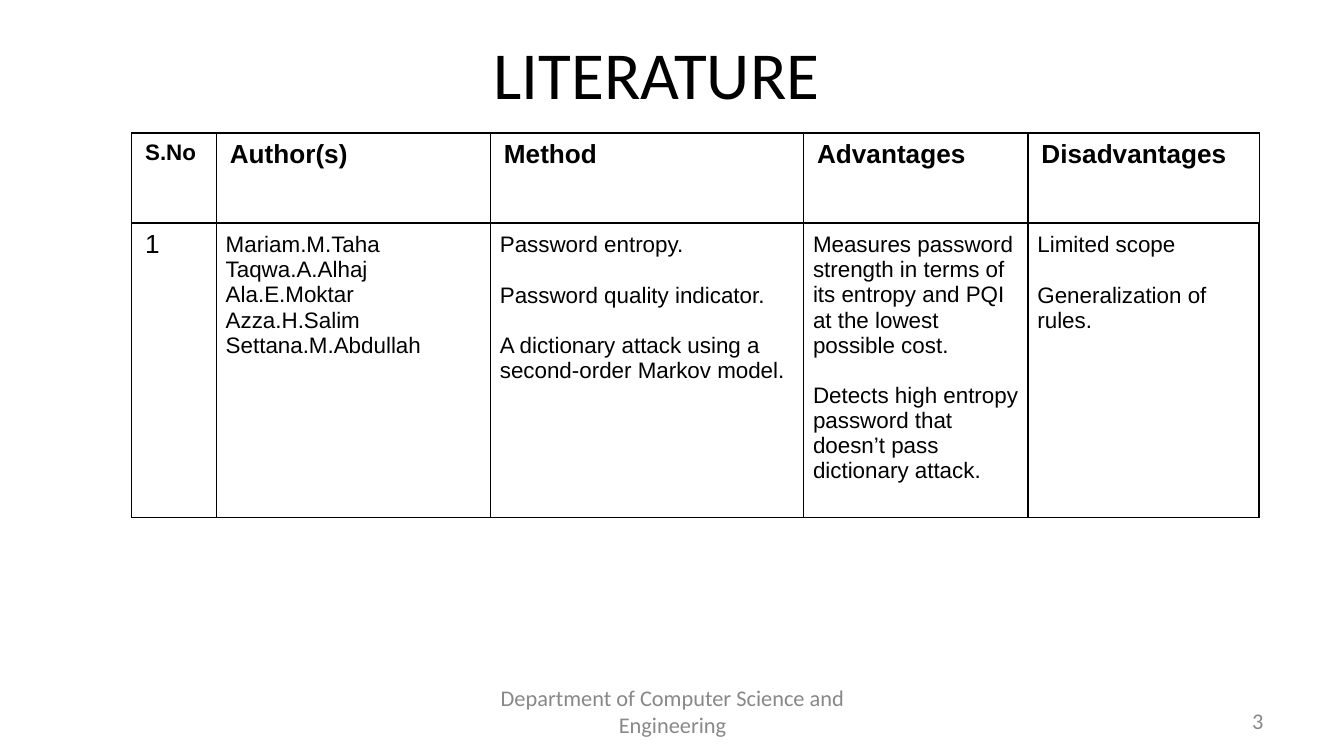
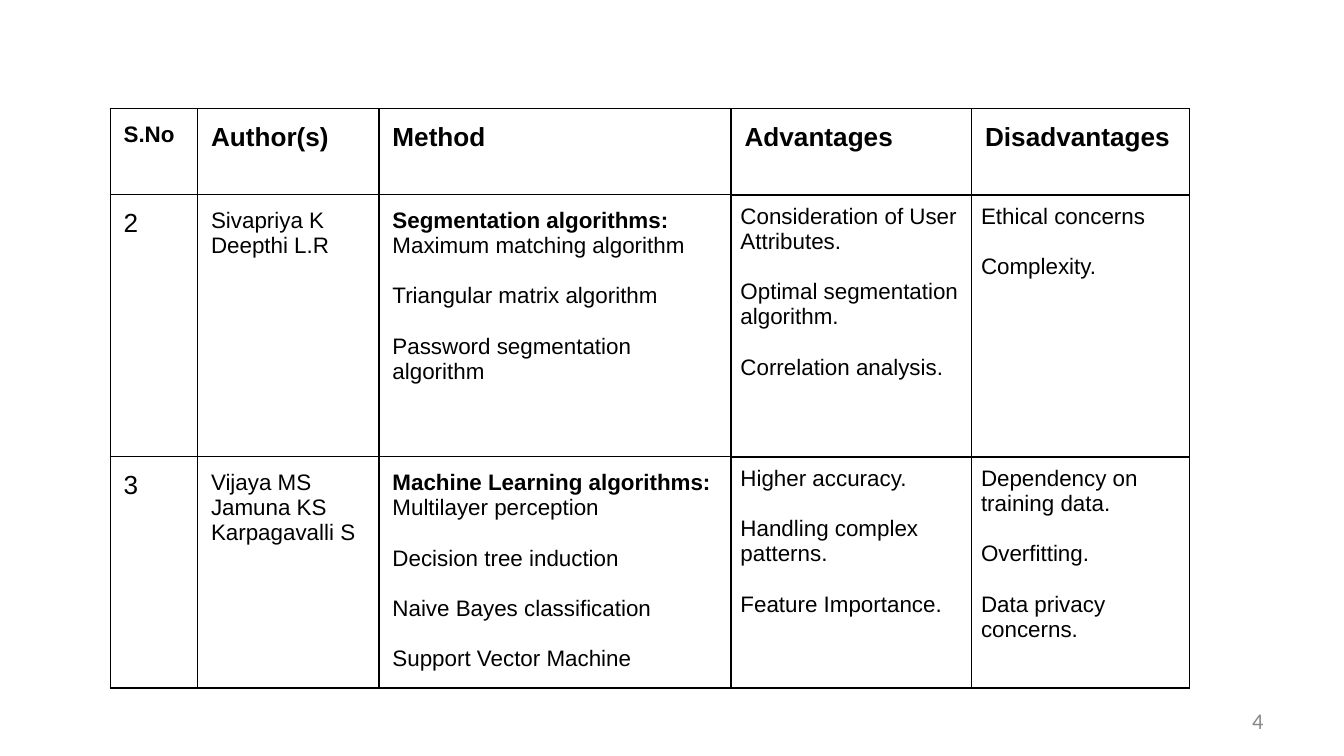
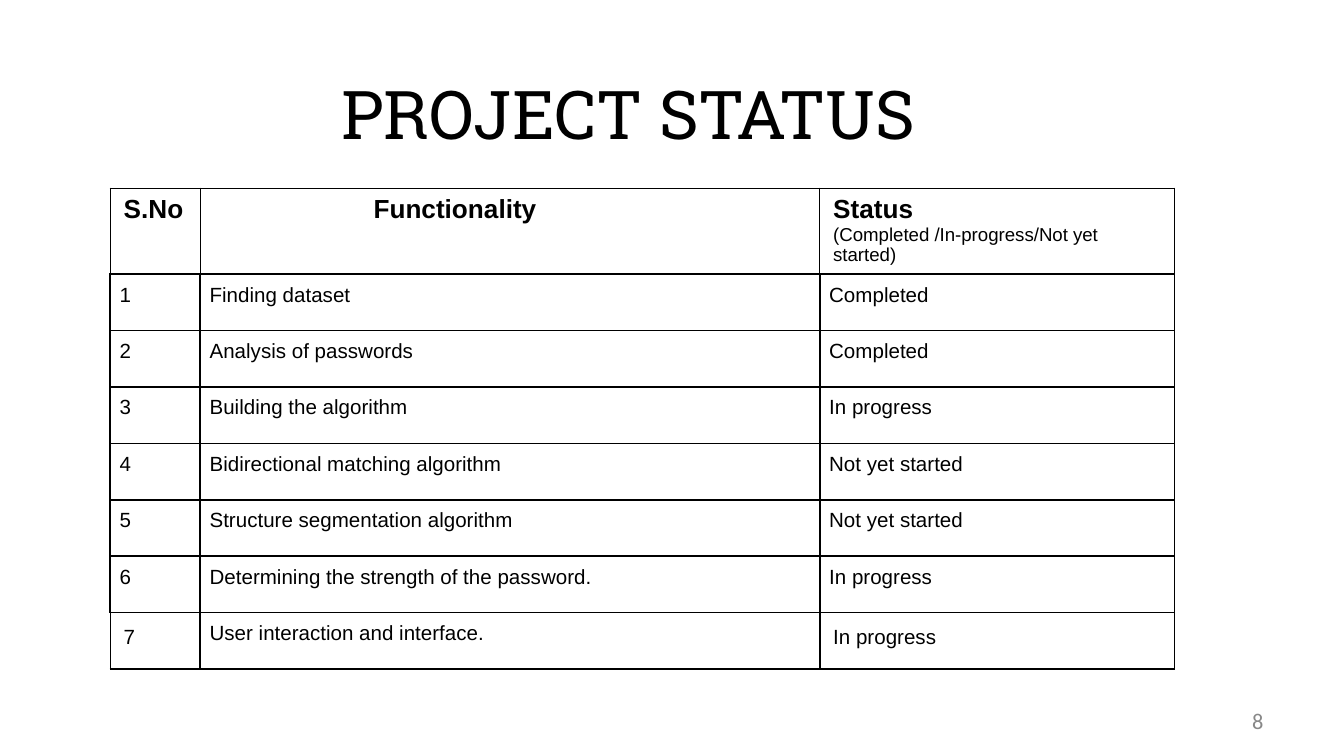
"""Build three slides: two literature tables and a project status table."""
from dataclasses import dataclass

from lxml.etree import SubElement
from pptx import Presentation
from pptx.dml.color import RGBColor
from pptx.enum.text import MSO_ANCHOR as Anchor, MSO_AUTO_SIZE as AutoSize, PP_ALIGN as Align
from pptx.oxml.ns import qn
from pptx.util import Inches, Pt

COLORS = {"ink": "000000", "footer": "888888"}
BODY_FONT = "Arial"
FOOTER_FONT = "Calibri"
TITLE_ONLY, BLANK = 5, 6
LINE_GAP = 13.5


@dataclass(frozen=True)
class Line:
    text: str
    size: float = 12
    bold: bool = False
    gap: float = 0


@dataclass(frozen=True)
class Cell:
    lines: tuple[Line, ...]
    pad_x: float = 0.07
    pad_y: float = 0.07
    border: float = 1
    indent: float = 0


@dataclass(frozen=True)
class Grid:
    left: float
    top: float
    columns: tuple[float, ...]
    heights: tuple[float, ...]
    rows: list[list[Cell]]


@dataclass(frozen=True)
class Title:
    text: str
    box: tuple[float, float, float, float]
    font: str
    indent: float = 0


@dataclass(frozen=True)
class Page:
    number: int
    grid: Grid
    title: Title | None = None
    department: str = ""


def listed(*texts: str, size: float = 12) -> tuple[Line, ...]:
    """Return lines set directly below each other."""
    return tuple(Line(text, size) for text in texts)


def spaced(*texts: str) -> tuple[Line, ...]:
    """Return lines with one line of space between them."""
    return tuple(Line(text, gap=LINE_GAP if i else 0) for i, text in enumerate(texts))


def algorithms(heading: str, *names: str) -> tuple[Line, ...]:
    """Return a bold heading followed by the algorithms it covers."""
    return (Line(heading, bold=True), *spaced(*names))


def thin(lines: tuple[Line, ...], pad_y: float = 0.1) -> Cell:
    """Return a cell with wide side padding and a thin border."""
    return Cell(lines, 0.1, pad_y, 0.75)


def literature_header(pad_y: float) -> list[Cell]:
    """Return the header row of a literature table."""
    names = ("S.No", "Author(s)", "Method", "Advantages", "Disadvantages")
    return [thin((Line(name, 14 if i else 12, True),), pad_y) for i, name in enumerate(names)]


def status_rows() -> list[list[Cell]]:
    """Return the header and numbered rows of the status table."""
    status = (Line("Status", 14, True), Line("(Completed /In-progress/Not yet started)", 10))
    rows = [[
        thin((Line("S.No", 14, True),), 0.05),
        Cell((Line("Functionality", 14, True),), 0.1, 0.05, 0.75, indent=1.19),
        thin(status, 0.05),
    ]]
    for number, (task, state) in enumerate(TASKS, 1):
        outer = thin if number == len(TASKS) else Cell
        rows.append([outer(listed(str(number), size=11)), Cell(listed(task, size=11)),
                     outer(listed(state, size=11))])
    return rows


TASKS = [
    ("Finding dataset", "Completed"),
    ("Analysis of passwords", "Completed"),
    ("Building the algorithm", "In progress"),
    ("Bidirectional matching algorithm", "Not yet started"),
    ("Structure segmentation algorithm", "Not yet started"),
    ("Determining the strength of the password.", "In progress"),
    ("User interaction and interface.", "In progress"),
]

ENTROPY_STUDY = [
    thin(listed("1", size=14), 0.05),
    Cell(listed("Mariam.M.Taha Taqwa.A.Alhaj", "Ala.E.Moktar Azza.H.Salim Settana.M.Abdullah")),
    Cell(spaced("Password entropy.", "Password quality indicator.",
                "A dictionary attack using a second-order Markov model.")),
    Cell(spaced("Measures password strength in terms of its entropy and PQI "
                "at the lowest possible cost.",
                "Detects high entropy password that doesn’t pass dictionary attack.")),
    Cell(spaced("Limited scope", "Generalization of rules.")),
]

SEGMENTATION_STUDY = [
    thin(listed("2", size=14)),
    thin(listed("Sivapriya K", "Deepthi L.R")),
    thin(algorithms("Segmentation algorithms:", "Maximum matching algorithm",
                    "Triangular matrix algorithm", "Password segmentation algorithm")),
    Cell(spaced("Consideration of User Attributes.", "Optimal segmentation algorithm.",
                "Correlation analysis.")),
    Cell(spaced("Ethical concerns", "Complexity.")),
]

LEARNING_STUDY = [
    thin(listed("3", size=14)),
    thin(listed("Vijaya MS", "Jamuna KS", "Karpagavalli S")),
    thin(algorithms("Machine Learning algorithms:", "Multilayer perception",
                    "Decision tree induction", "Naive Bayes classification",
                    "Support Vector Machine")),
    Cell(spaced("Higher accuracy.", "Handling complex patterns.", "Feature Importance.")),
    Cell(spaced("Dependency on training data.", "Overfitting.", "Data privacy concerns.")),
]

PAGES = [
    Page(3, Grid(0.98, 0.99, (0.63, 2.04, 2.33, 1.67, 1.72), (0.67, 2.19),
                 [literature_header(0.05), ENTROPY_STUDY]),
         Title("LITERATURE", (1.36, 0.39, 5.81, 0.3), "Calibri", indent=1.24),
         "Department of Computer Science and Engineering"),
    Page(4, Grid(0.82, 0.81, (0.65, 1.35, 2.62, 1.79, 1.62), (0.64, 1.95, 1.72),
                 [literature_header(0.1), SEGMENTATION_STUDY, LEARNING_STUDY])),
    Page(8, Grid(0.82, 1.4, (0.67, 4.61, 2.64), (0.64,) + (0.42,) * len(TASKS), status_rows()),
         Title("PROJECT STATUS", (1.33, 0.49, 6.69, 0.69), "Roboto Slab")),
]


def write(paragraph, text: str, *, size: float = 12, font: str = BODY_FONT, color: str = "ink",
          bold: bool = False, align: Align = Align.LEFT, gap: float = 0) -> None:
    """Write formatted text into a paragraph."""
    paragraph.alignment = align
    paragraph.space_before = Pt(gap)
    run = paragraph.add_run()
    run.text = text
    run.font.size = Pt(size)
    run.font.name = font
    run.font.bold = bold
    run.font.color.rgb = RGBColor.from_string(COLORS[color])


def pad(holder, x: float, y: float, indent: float = 0) -> None:
    """Set the inner margins of a cell or text frame."""
    holder.margin_left = Inches(x + indent)
    holder.margin_right = Inches(x)
    holder.margin_top = holder.margin_bottom = Inches(y)


def frame_text(frame, text: str, indent: float = 0, **style) -> None:
    """Centre text vertically in a wrapping frame of fixed size."""
    frame.word_wrap = True
    frame.auto_size = AutoSize.NONE
    frame.vertical_anchor = Anchor.MIDDLE
    pad(frame, 0.1, 0.05, indent)
    write(frame.paragraphs[0], text, **style)


def draw_title(slide, title: Title) -> None:
    """Place and format the title placeholder."""
    heading = slide.shapes.title
    heading.left, heading.top, heading.width, heading.height = map(Inches, title.box)
    frame_text(heading.text_frame, title.text, title.indent, size=36, font=title.font,
               align=Align.CENTER)


def draw_footer(slide, text: str, box: tuple[float, ...], align: Align) -> None:
    """Add a grey footer text."""
    footer = slide.shapes.add_textbox(*map(Inches, box))
    frame_text(footer.text_frame, text, font=FOOTER_FONT, color="footer", align=align)


def draw_border(cell, weight: float) -> None:
    """Give all four sides of a cell a solid line."""
    properties = cell._tc.get_or_add_tcPr()
    for side in ("lnL", "lnR", "lnT", "lnB"):
        line = SubElement(properties, qn(f"a:{side}"), w=str(Pt(weight)))
        SubElement(SubElement(line, qn("a:solidFill")), qn("a:srgbClr"), val=COLORS["ink"])


def draw_cell(cell, content: Cell) -> None:
    """Fill one table cell with its lines."""
    pad(cell, content.pad_x, content.pad_y, content.indent)
    draw_border(cell, content.border)
    cell.fill.background()
    frame = cell.text_frame
    for i, line in enumerate(content.lines):
        paragraph = frame.add_paragraph() if i else frame.paragraphs[0]
        write(paragraph, line.text, size=line.size, bold=line.bold, gap=line.gap)


def draw_grid(slide, grid: Grid) -> None:
    """Add a table with its column widths, row heights and cells."""
    table = slide.shapes.add_table(
        len(grid.heights), len(grid.columns), Inches(grid.left), Inches(grid.top),
        Inches(sum(grid.columns)), Inches(sum(grid.heights))).table
    table.first_row = table.horz_banding = False
    for column, width in zip(table.columns, grid.columns):
        column.width = Inches(width)
    for row, height, contents in zip(table.rows, grid.heights, grid.rows):
        row.height = Inches(height)
        for cell, content in zip(row.cells, contents):
            draw_cell(cell, content)


def draw_page(deck, page: Page) -> None:
    """Add one slide with its number, title, table and footer."""
    slide = deck.slides.add_slide(deck.slide_layouts[TITLE_ONLY if page.title else BLANK])
    draw_footer(slide, str(page.number), (7.17, 5.21, 2.33, 0.3), Align.RIGHT)
    if page.title:
        draw_title(slide, page.title)
    draw_grid(slide, page.grid)
    if page.department:
        draw_footer(slide, page.department, (3.42, 5.14, 3.17, 0.3), Align.CENTER)


def main() -> None:
    """Build and save the presentation."""
    deck = Presentation()
    deck.slide_width = Inches(10)
    deck.slide_height = Inches(5.625)
    for page in PAGES:
        draw_page(deck, page)
    deck.save("out.pptx")


if __name__ == "__main__":
    main()
